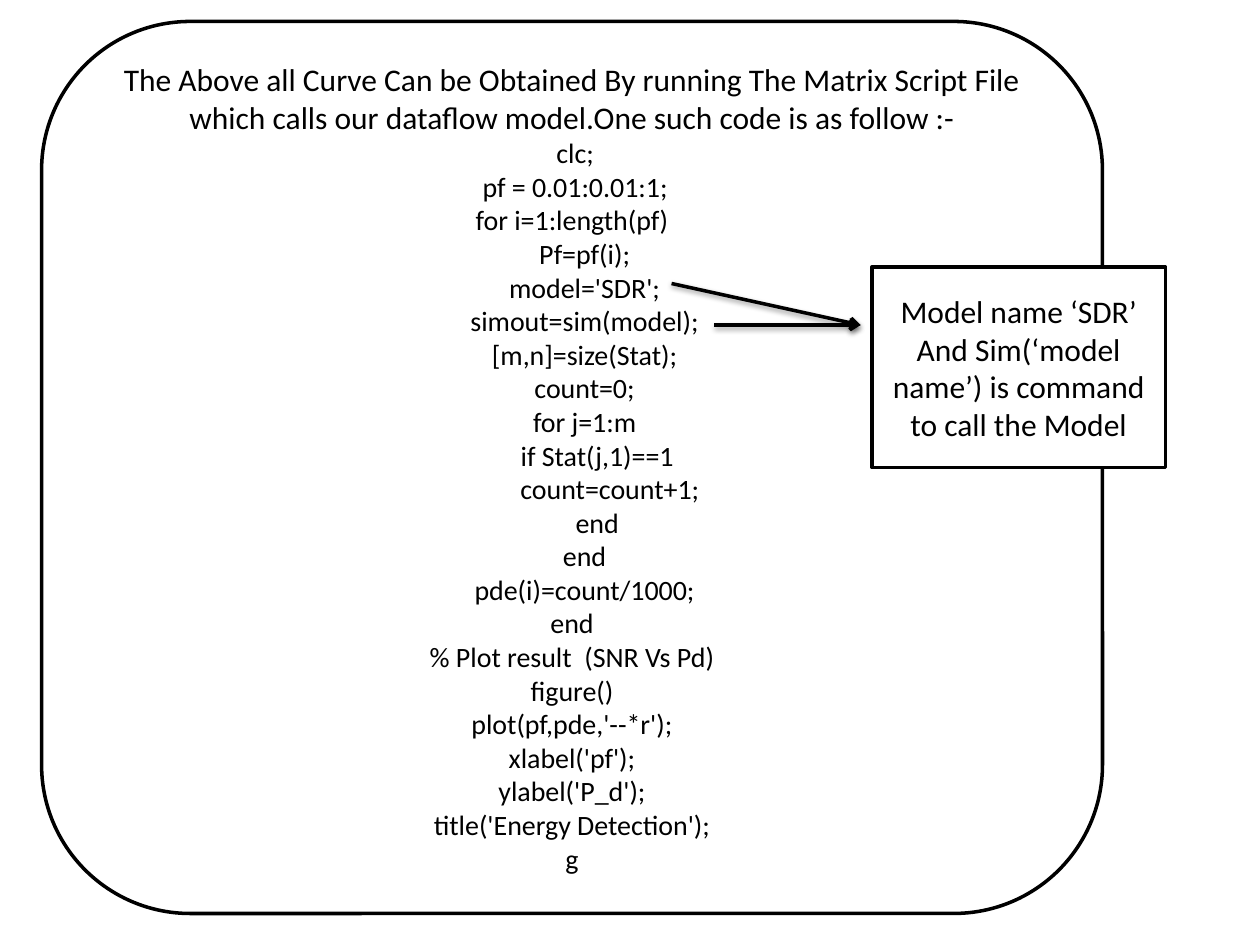
from dataclasses import dataclass

from lxml.etree import SubElement
from pptx import Presentation
from pptx.dml.color import RGBColor
from pptx.enum.shapes import MSO_CONNECTOR, MSO_SHAPE
from pptx.enum.text import MSO_ANCHOR, PP_ALIGN
from pptx.oxml import parse_xml
from pptx.oxml.ns import nsdecls, qn
from pptx.slide import Slide
from pptx.text.text import TextFrame
from pptx.util import Inches, Pt

BLACK = RGBColor(0x00, 0x00, 0x00)
WHITE = RGBColor(0xFF, 0xFF, 0xFF)
FONT = "Calibri"
LINE_WIDTH = Pt(2)
INDENT_STEP = 0.2  # inches for each nesting level of the code

ARROW_SHADOW = (
    f'<a:effectLst {nsdecls("a")}>'
    '<a:outerShdw blurRad="40000" dist="20000" dir="5400000" rotWithShape="0">'
    '<a:srgbClr val="000000"><a:alpha val="38000"/></a:srgbClr>'
    "</a:outerShdw></a:effectLst>"
)


@dataclass(frozen=True)
class TextLine:
    text: str
    size: int = 18
    level: float = 0


@dataclass(frozen=True)
class Box:
    preset: MSO_SHAPE
    left: float
    top: float
    width: float
    height: float
    lines: list[TextLine]


@dataclass(frozen=True)
class Arrow:
    start: tuple[float, float]
    end: tuple[float, float]


INTRODUCTION = (
    "The Above all Curve Can be Obtained By running The Matrix Script File "
    "which calls our dataflow model.One such code is as follow :-"
)

# Nesting level and text of each line of code
CODE = [
    (0.25, "clc;"),
    (0.25, "pf = 0.01:0.01:1;"),
    (0, "for i=1:length(pf)"),
    (1, "Pf=pf(i);"),
    (1, "model='SDR';"),
    (1, "simout=sim(model);"),
    (1, "[m,n]=size(Stat);"),
    (1, "count=0;"),
    (1, "for j=1:m"),
    (2, "if Stat(j,1)==1"),
    (3, "count=count+1;"),
    (2, "end"),
    (1, "end"),
    (1, "pde(i)=count/1000;"),
    (0, "end"),
    (0, "% Plot result  (SNR Vs Pd)"),
    (0, "figure()"),
    (0, "plot(pf,pde,'--*r');"),
    (0, "xlabel('pf');"),
    (0, "ylabel('P_d');"),
    (0, "title('Energy Detection');"),
    (0, "g"),
]

CODE_PANEL = Box(
    MSO_SHAPE.ROUNDED_RECTANGLE, 0.33, 0.17, 8.42, 7.08,
    [TextLine(INTRODUCTION)] + [TextLine(text, 16, level) for level, text in CODE],
)
CALLOUT = Box(
    MSO_SHAPE.RECTANGLE, 6.92, 2.12, 2.33, 1.59,
    [
        TextLine("Model name ‘SDR’"),
        TextLine("And Sim(‘model name’) is command to call the Model"),
    ],
)
ARROW_TIP = (6.83, 2.58)
ARROWS = [Arrow((5.33, 2.25), ARROW_TIP), Arrow((5.67, 2.58), ARROW_TIP)]


def add_text(frame: TextFrame, text: str, *, first: bool, size: int,
             level: float = 0, color: RGBColor = BLACK) -> None:
    """Add one centred paragraph, indented by its nesting level."""
    paragraph = frame.paragraphs[0] if first else frame.add_paragraph()
    paragraph.alignment = PP_ALIGN.CENTER
    if level:
        properties = paragraph._p.get_or_add_pPr()
        properties.set("marL", str(Inches(level * INDENT_STEP)))
    run = paragraph.add_run()
    run.text = text
    run.font.name = FONT
    run.font.size = Pt(size)
    run.font.color.rgb = color


def add_box(slide: Slide, box: Box) -> None:
    shape = slide.shapes.add_shape(
        box.preset, Inches(box.left), Inches(box.top),
        Inches(box.width), Inches(box.height),
    )
    shape.shadow.inherit = False
    shape.fill.solid()
    shape.fill.fore_color.rgb = WHITE
    shape.line.color.rgb = BLACK
    shape.line.width = LINE_WIDTH
    frame = shape.text_frame
    frame.word_wrap = True
    frame.vertical_anchor = MSO_ANCHOR.MIDDLE
    for index, line in enumerate(box.lines):
        add_text(frame, line.text, first=index == 0, size=line.size, level=line.level)


def add_arrow(slide: Slide, arrow: Arrow) -> None:
    points = [Inches(value) for value in (*arrow.start, *arrow.end)]
    connector = slide.shapes.add_connector(MSO_CONNECTOR.STRAIGHT, *points)
    connector.line.color.rgb = BLACK
    connector.line.width = LINE_WIDTH
    SubElement(connector.line._get_or_add_ln(), qn("a:tailEnd"), type="arrow")
    connector._element.spPr.append(parse_xml(ARROW_SHADOW))


def main() -> None:
    presentation = Presentation()
    presentation.slide_width = Inches(10)
    presentation.slide_height = Inches(7.5)
    slide = presentation.slides.add_slide(presentation.slide_layouts[6])

    # Code panel, then the arrows that lead to the callout
    add_box(slide, CODE_PANEL)
    for arrow in ARROWS:
        add_arrow(slide, arrow)
    add_box(slide, CALLOUT)

    presentation.save("out.pptx")


if __name__ == "__main__":
    main()
